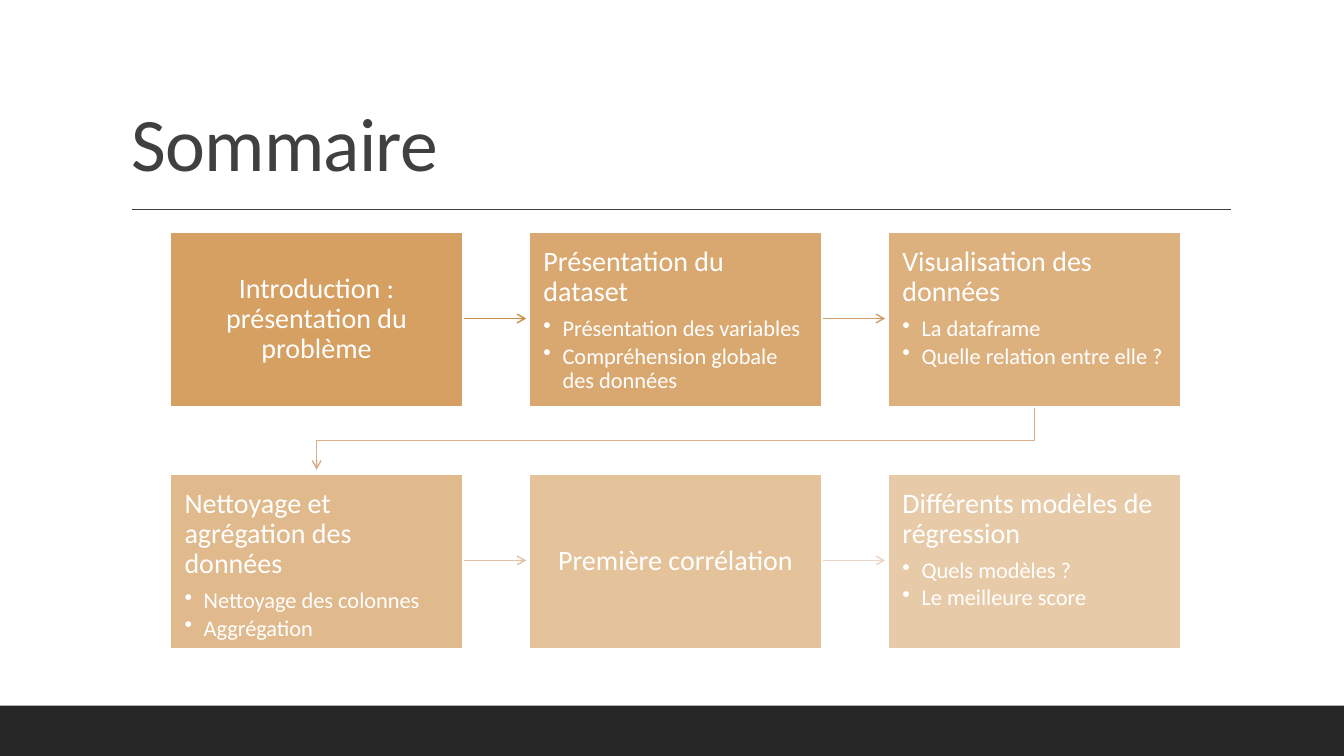
import pptx
import pptx.util
import pptx.dml.color
import pptx.enum.shapes
import pptx.enum.text
import pptx.oxml.ns
import lxml.etree

Inches = pptx.util.Inches
Pt = pptx.util.Pt
Align = pptx.enum.text.PP_ALIGN
Anchor = pptx.enum.text.MSO_ANCHOR
qn = pptx.oxml.ns.qn


def rgb(code):
    """Turn a hex string into a colour."""
    return pptx.dml.color.RGBColor.from_string(code)


def add_tag(parent, tag, **attrs):
    """Append an XML child with the given attributes."""
    return lxml.etree.SubElement(parent, qn(tag), **attrs)


class Deck:
    """Holds the style and the current slide."""

    font, dark, white, tan = "Calibri", "404040", "FFFFFF", "D19651"

    def __init__(self, show):
        """Add a title-only slide to the show."""
        self.slide = show.slides.add_slide(show.slide_layouts[5])
        self.shapes = self.slide.shapes
        self.slide.background.fill.solid()
        self.slide.background.fill.fore_color.rgb = rgb(self.white)

    def run(self, para, text, size, color):
        """Add one styled run and return it."""
        run = para.add_run()
        run.text = text
        run.font.name = self.font
        run.font.size = Pt(size)
        run.font.color.rgb = rgb(color)
        return run

    def title(self, text, left, top, width, height):
        """Place and fill the title."""
        head = self.shapes.title
        head.left, head.top = Inches(left), Inches(top)
        head.width, head.height = Inches(width), Inches(height)
        frame = head.text_frame
        frame.auto_size = pptx.enum.text.MSO_AUTO_SIZE.NONE
        frame.word_wrap = True
        frame.vertical_anchor = Anchor.BOTTOM
        para = frame.paragraphs[0]
        para.alignment = Align.LEFT
        para.line_spacing = 0.8
        run = self.run(para, text, 54, self.dark)
        run.font._element.set("spc", "-50")

    def rect(self, left, top, width, height, color, alpha=100, edge=None):
        """Draw a rectangle, with an optional edge colour."""
        box = self.shapes.add_shape(
            pptx.enum.shapes.MSO_SHAPE.RECTANGLE,
            Inches(left), Inches(top), Inches(width), Inches(height))
        box.shadow.inherit = False
        box.fill.solid()
        box.fill.fore_color.rgb = rgb(color)
        if alpha < 100:
            tint = box._element.spPr.find(qn("a:solidFill"))[0]
            add_tag(tint, "a:alpha", val=str(alpha * 1000))
        if edge:
            box.line.color.rgb = rgb(edge)
            box.line.width = Pt(1.25)
        else:
            box.line.fill.background()
        return box

    def card(self, left, top, width, height, alpha, head, items):
        """Draw a step: heading alone is centred, else it has bullets."""
        box = self.rect(left, top, width, height, self.tan, alpha, self.white)
        frame = box.text_frame
        frame.word_wrap = True
        frame.margin_left = frame.margin_right = Inches(0.14)
        frame.margin_top = frame.margin_bottom = Inches(0.15)
        frame.vertical_anchor = Anchor.TOP if items else Anchor.MIDDLE
        para = frame.paragraphs[0]
        para.alignment = Align.LEFT if items else Align.CENTER
        para.line_spacing = 0.9
        para.space_after = Pt(7)
        self.run(para, head, 20, self.white)
        for item in items:
            self.bullet(frame.add_paragraph(), item)

    def bullet(self, para, text):
        """Fill a paragraph as a bullet."""
        para.level = 1
        para.alignment = Align.LEFT
        para.line_spacing = 0.9
        para.space_after = Pt(2.4)
        props = para._p.get_or_add_pPr()
        props.set("marL", str(Inches(0.19)))
        props.set("indent", str(-Inches(0.19)))
        add_tag(props, "a:buChar", char="•")
        self.run(para, text, 16, self.white)

    def stroke(self, shape, color, arrow):
        """Style a line, with an optional arrowhead."""
        shape.line.color.rgb = rgb(color)
        shape.line.width = Pt(1)
        if arrow:
            add_tag(shape.line._get_or_add_ln(), "a:tailEnd", type="arrow")

    def line(self, start, end, color, arrow=False):
        """Draw a straight line between two points."""
        ends = [Inches(v) for v in (*start, *end)]
        link = self.shapes.add_connector(
            pptx.enum.shapes.MSO_CONNECTOR.STRAIGHT, *ends)
        self.stroke(link, color, arrow)
        add_tag(link._element.spPr, "a:effectLst")

    def bend(self, points, color):
        """Draw an open arrow through the points."""
        spots = [(Inches(x), Inches(y)) for x, y in points]
        pen = self.shapes.build_freeform(*spots[0])
        pen.add_line_segments(spots[1:], close=False)
        link = pen.convert_to_shape()
        link.shadow.inherit = False
        link.fill.background()
        self.stroke(link, color, True)


STEPS = [
    ("Introduction : présentation du problème", []),
    ("Présentation du dataset",
     ["Présentation des variables", "Compréhension globale des données"]),
    ("Visualisation des données",
     ["La dataframe", "Quelle relation entre elle ?"]),
    ("Nettoyage et agrégation des données",
     ["Nettoyage des colonnes", "Aggrégation"]),
    ("Première corrélation", []),
    ("Différents modèles de régression",
     ["Quels modèles ?", "Le meilleure score"]),
]
LINKS = ["C88F4D", "CF9F6B", "D8AF89", "E1C1A6", "EAD4C3"]
COLS, LEFT, TOP = 3, 1.69, 2.3
WIDE, HIGH, STEP_X, STEP_Y = 2.9, 1.74, 3.56, 2.4


def spot(index):
    """Give the top left corner of a step."""
    row, col = divmod(index, COLS)
    return LEFT + col * STEP_X, TOP + row * STEP_Y


show = pptx.Presentation()
show.slide_width, show.slide_height = Inches(13.33), Inches(7.5)
deck = Deck(show)
deck.rect(0, 7, 13.33, 0.5, "262626")
deck.line((1.31, 2.08), (12.21, 2.08), deck.dark)
deck.title("Sommaire", 1.2, 0.31, 11, 1.59)

for index, color in enumerate(LINKS):
    x, y = spot(index)
    next_x, next_y = spot(index + 1)
    if y == next_y:
        mid = y + HIGH / 2 - 0.01
        deck.line((x + WIDE, mid), (next_x - 0.03, mid), color, True)
    else:
        x, next_x = x + WIDE / 2, next_x + WIDE / 2
        base, mid = y + HIGH, (y + HIGH + next_y) / 2
        deck.bend([(x, base), (x, mid), (next_x, mid),
                   (next_x, next_y - 0.04)], color)

for index, (head, items) in enumerate(STEPS):
    deck.card(*spot(index), WIDE, HIGH, 90 - 8 * index, head, items)

show.save("out.pptx")
